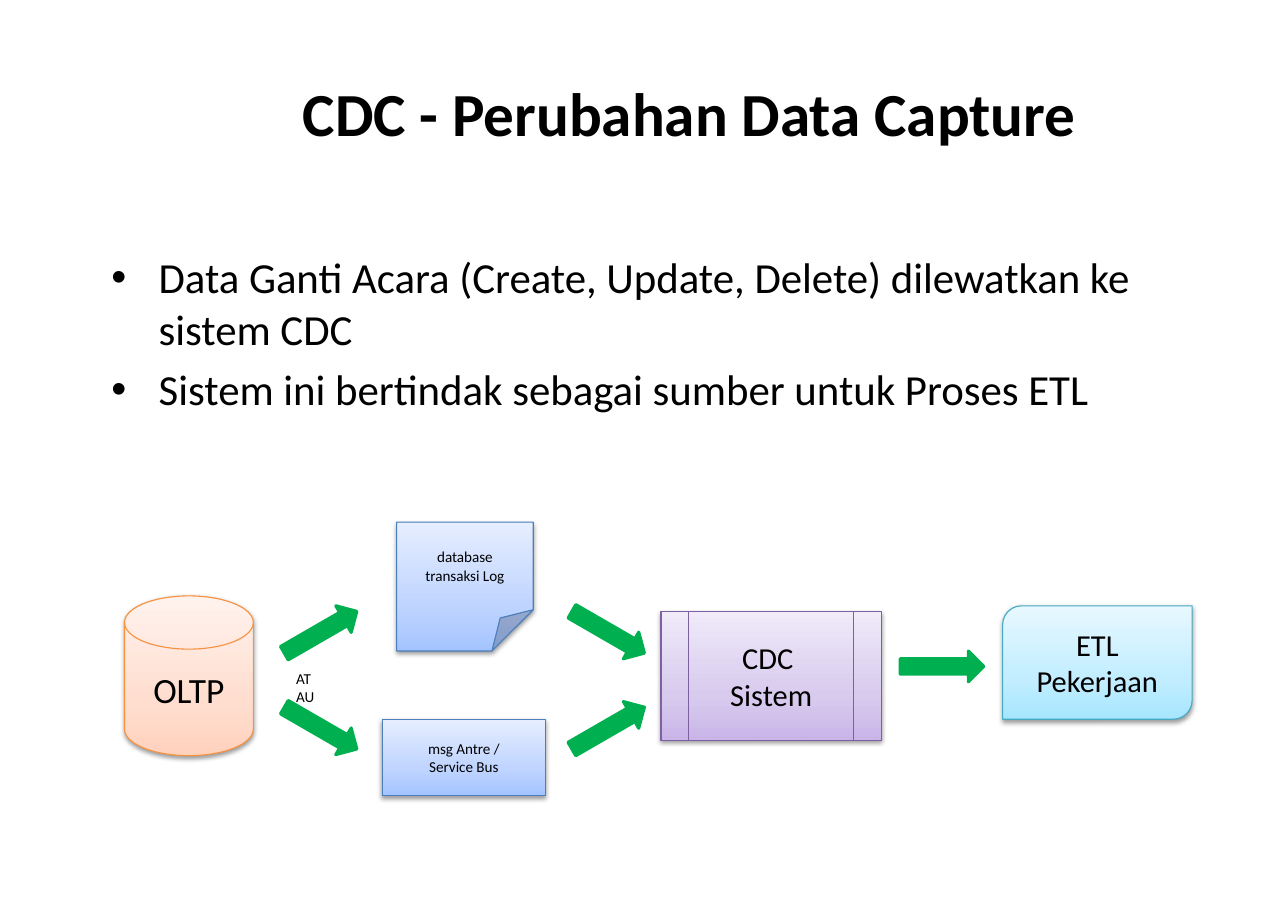
"""Build the slide on change data capture feeding an ETL process."""
from copy import deepcopy
from typing import NamedTuple

from lxml.etree import SubElement
from pptx import Presentation
from pptx.dml.color import RGBColor
from pptx.enum.shapes import MSO_SHAPE as Preset
from pptx.enum.text import MSO_ANCHOR as Anchor, MSO_AUTO_SIZE as AutoSize, PP_ALIGN as Align
from pptx.oxml.ns import qn
from pptx.util import Emu, Pt

EMU_PER_PX = 9144
FONT = "Calibri"
STOPS = (0, 0.35, 1)
COLOURS = {"text": "000000", "shadow": "000000", "arrow": "00B050"}
NODE_COLOURS = {
    "orange": ("F69240", "FFD2BD", "FFDED0", "FFF2ED"),
    "blue": ("4B7EBC", "A4C4FF", "BFD4FF", "E6EEFF"),
    "purple": ("7D60A0", "C9B5E8", "D8CBEE", "F0EAF9"),
    "cyan": ("46AAC5", "A7E6FF", "C1EDFF", "E7F8FF"),
}


class Box(NamedTuple):
    left: int
    top: int
    width: int
    height: int


class Node(NamedTuple):
    preset: Preset
    box: Box
    lines: list[str]
    size: float
    colour: str
    fold: int = 0


class Arrow(NamedTuple):
    left: int
    top: int
    rotation: int = 0


NODES = [
    Node(Preset.FLOWCHART_MAGNETIC_DISK, Box(113, 541, 117, 145), ["OLTP"], 23.2, "orange"),
    Node(Preset.FOLDED_CORNER, Box(360, 474, 124, 117),
         ["database", "transaksi Log"], 9.9, "blue", 32000),
    Node(Preset.FLOWCHART_PREDEFINED_PROCESS, Box(600, 555, 200, 117),
         ["CDC ", "Sistem"], 19.9, "purple"),
    Node(Preset.ROUND_2_DIAG_RECTANGLE, Box(910, 550, 172, 103),
         ["ETL", "Pekerjaan"], 19.9, "cyan"),
    Node(Preset.FLOWCHART_PROCESS, Box(347, 653, 148, 69),
         ["msg Antre /", "Service Bus"], 9.9, "blue"),
]
ARROWS = [
    Arrow(514, 560, 30),
    Arrow(817, 591),
    Arrow(514, 647, 330),
    Arrow(253, 647, 30),
    Arrow(253, 560, 330),
]


def px(length: int) -> Emu:
    """Turn px into EMU."""
    return Emu(length * EMU_PER_PX)


def place(shape, box: Box) -> None:
    """Move and size a shape."""
    shape.left, shape.top, shape.width, shape.height = map(px, box)


def write(frame, lines: list[str], *, size: float, bold: bool = False,
          align: Align | None = None, anchor: Anchor | None = None,
          insets: tuple[int, int] = (10, 5), hanging: int = 0) -> None:
    """Write one paragraph per line with a shared format."""
    frame.word_wrap = True
    frame.auto_size = AutoSize.NONE
    frame.vertical_anchor = anchor
    frame.margin_left = frame.margin_right = px(insets[0])
    frame.margin_top = frame.margin_bottom = px(insets[1])
    for index, line in enumerate(lines):
        para = frame.add_paragraph() if index else frame.paragraphs[0]
        para.alignment = align
        if hanging:
            properties = para._p.get_or_add_pPr()
            properties.set("marL", str(px(hanging)))
            properties.set("indent", str(-px(hanging)))
        span = para.add_run()
        span.text = line
        span.font.name = FONT
        span.font.size = Pt(size)
        span.font.bold = bold
        span.font.color.rgb = RGBColor.from_string(COLOURS["text"])


def fill_gradient(shape, colours: list[str]) -> None:
    """Fill a shape from bottom to top with three colours."""
    shape.fill.gradient()
    shape.fill.gradient_angle = 90
    stop_list = shape._element.spPr.find(".//" + qn("a:gsLst"))
    stop_list.insert(1, deepcopy(stop_list[0]))
    for stop, position, colour in zip(shape.fill.gradient_stops, STOPS, colours):
        stop.position = position
        stop.color.rgb = RGBColor.from_string(colour)


def fold_corner(shape, fold: int) -> None:
    """Set the size of a folded corner in thousandths of a percent."""
    guides = shape._element.spPr.find(".//" + qn("a:avLst"))
    SubElement(guides, qn("a:gd"), name="adj", fmla=f"val {fold}")


def cast_shadow(shape) -> None:
    """Give a shape a soft shadow below it."""
    effects = shape._element.spPr.find(qn("a:effectLst"))
    shadow = SubElement(effects, qn("a:outerShdw"), blurRad="40000", dist="20000",
                        dir="5400000", rotWithShape="0")
    colour = SubElement(shadow, qn("a:srgbClr"), val=COLOURS["shadow"])
    SubElement(colour, qn("a:alpha"), val="38000")


def add_outlined(page, preset: Preset, box: Box, line: str, weight: float):
    """Add a preset shape with a plain outline."""
    shape = page.shapes.add_shape(preset, *map(px, box))
    shape.shadow.inherit = False
    shape.line.color.rgb = RGBColor.from_string(line)
    shape.line.width = Pt(weight)
    return shape


def add_node(page, node: Node) -> None:
    """Draw one labelled step of the flow."""
    line, *gradient = NODE_COLOURS[node.colour]
    shape = add_outlined(page, node.preset, node.box, line, 0.75)
    if node.fold:
        fold_corner(shape, node.fold)
    fill_gradient(shape, gradient)
    cast_shadow(shape)
    write(shape.text_frame, node.lines, size=node.size, align=Align.CENTER,
          anchor=Anchor.MIDDLE)


def add_arrow(page, arrow: Arrow) -> None:
    """Draw one block arrow between steps."""
    box = Box(arrow.left, arrow.top, 76, 28)
    shape = add_outlined(page, Preset.RIGHT_ARROW, box, COLOURS["arrow"], 2)
    shape.fill.solid()
    shape.fill.fore_color.rgb = RGBColor.from_string(COLOURS["arrow"])
    shape.rotation = arrow.rotation


def main() -> None:
    """Build and save the deck."""
    deck = Presentation()
    deck.slide_width, deck.slide_height = px(1169), px(827)
    page = deck.slides.add_slide(deck.slide_layouts[1])

    title, body = page.placeholders
    place(title, Box(141, 33, 969, 138))
    write(title.text_frame, ["CDC - Perubahan Data Capture"], size=40, bold=True,
          align=Align.CENTER, anchor=Anchor.MIDDLE, insets=(11, 6))
    place(body, Box(90, 222, 993, 398))
    write(body.text_frame,
          ["Data Ganti Acara (Create, Update, Delete) dilewatkan ke sistem CDC",
           "Sistem ini bertindak sebagai sumber untuk Proses ETL"],
          size=28, insets=(11, 6), hanging=43)

    for node in NODES:
        add_node(page, node)
    choice = page.shapes.add_textbox(*map(px, Box(259, 603, 37, 27)))
    write(choice.text_frame, ["ATAU"], size=9.9)
    for arrow in ARROWS:
        add_arrow(page, arrow)
    deck.save("out.pptx")


if __name__ == "__main__":
    main()
